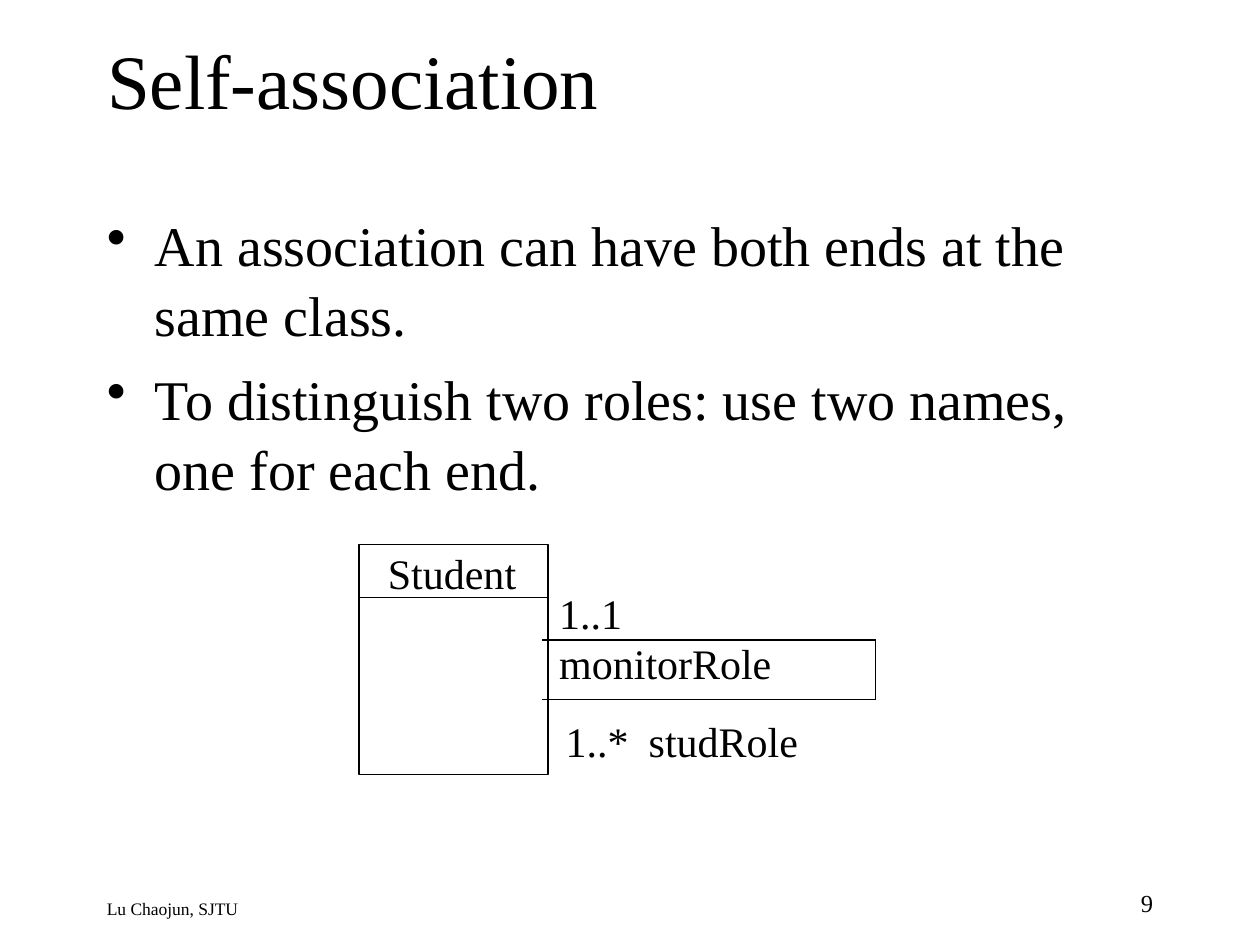
import pptx
import pptx.dml.color
import pptx.enum.shapes
import pptx.enum.text
import pptx.oxml.ns
import pptx.util
from lxml import etree

Inches = pptx.util.Inches
Pt = pptx.util.Pt
ALIGN = pptx.enum.text.PP_ALIGN
ANCHOR = pptx.enum.text.MSO_ANCHOR
COLORS = {"ink": "000000", "paper": "FFFFFF"}


def color(name):
    return pptx.dml.color.RGBColor.from_string(COLORS[name])


def add_element(parent, tag, **attributes):
    return etree.SubElement(parent, pptx.oxml.ns.qn(tag), attributes)


class SlideBuilder:
    font_name = "Times New Roman"
    line_width = Pt(0.75)

    def __init__(self, slide):
        self.slide = slide
        fill = slide.background.fill
        fill.solid()
        fill.fore_color.rgb = color("paper")

    def format_paragraph(self, paragraph, size, **settings):
        for name, value in settings.items():
            setattr(paragraph, name, value)
        for name, value in {"name": self.font_name, "size": Pt(size)}.items():
            setattr(paragraph.font, name, value)
        paragraph.font.color.rgb = color("ink")

    def title(self, text, left, top, width, height):
        title = self.slide.shapes.title
        box = {"left": left, "top": top, "width": width, "height": height}
        for name, value in box.items():
            setattr(title, name, Inches(value))
        title.text_frame.text = text
        title.text_frame.vertical_anchor = ANCHOR.MIDDLE
        self.format_paragraph(title.text_frame.paragraphs[0], 44,
                              alignment=ALIGN.LEFT)

    def text_box(self, left, top, width, height, wrap=True):
        box = self.slide.shapes.add_textbox(*map(Inches, (left, top, width, height)))
        box.text_frame.word_wrap = wrap
        return box.text_frame

    def text(self, text, box, size, alignment=ALIGN.LEFT, wrap=True, tab=None):
        """Add one line of text; tab is the stop in inches from the text edge."""
        paragraph = self.text_box(*box, wrap=wrap).paragraphs[0]
        paragraph.text = text
        if tab:
            stops = add_element(paragraph._p.get_or_add_pPr(), "a:tabLst")
            add_element(stops, "a:tab", pos=str(Inches(tab)), algn="l")
        self.format_paragraph(paragraph, size, alignment=alignment)

    def bullets(self, items, box):
        frame = self.text_box(*box)
        for index, item in enumerate(items):
            paragraph = frame.add_paragraph() if index else frame.paragraphs[0]
            paragraph.text = item
            properties = paragraph._p.get_or_add_pPr()
            properties.set("marL", str(Inches(0.38)))
            properties.set("indent", str(-Inches(0.38)))
            add_element(properties, "a:buChar", char="•")
            self.format_paragraph(paragraph, 32, line_spacing=1.04,
                                  space_before=Pt(8 if index else 0))

    def rectangle(self, left, top, width, height):
        shape = self.slide.shapes.add_shape(
            pptx.enum.shapes.MSO_SHAPE.RECTANGLE,
            *map(Inches, (left, top, width, height)))
        shape.shadow.inherit = False
        shape.fill.background()
        self.outline(shape)

    def line(self, start, end):
        connector = self.slide.shapes.add_connector(
            pptx.enum.shapes.MSO_CONNECTOR.STRAIGHT, *map(Inches, start + end))
        self.outline(connector)
        add_element(connector._element.spPr, "a:effectLst")

    def outline(self, shape):
        shape.line.color.rgb = color("ink")
        shape.line.width = self.line_width


def main():
    presentation = pptx.Presentation()
    presentation.slide_width = Inches(10)
    presentation.slide_height = Inches(7.5)
    layout = presentation.slide_layouts.get_by_name("Title Only")
    builder = SlideBuilder(presentation.slides.add_slide(layout))

    builder.title("Self-association", 0.75, 0, 8.5, 1.25)
    builder.bullets([
        "An association can have both ends at the same class.",
        "To distinguish two roles: use two names, one for each end.",
    ], (0.75, 1.6, 8.5, 5.06))

    builder.rectangle(2.85, 4.32, 1.5, 1.83)
    builder.line((2.85, 4.74), (4.35, 4.74))
    builder.text("Student", (2.98, 4.3, 1.22, 0.5), 24, wrap=False)

    loop = [(4.3, 5.08), (6.95, 5.08), (6.95, 5.55), (4.3, 5.55)]
    for start, end in zip(loop, loop[1:]):
        builder.line(start, end)
    builder.text("1..1\tmonitorRole", (4.34, 4.61, 2.63, 0.5), 24,
                 wrap=False, tab=0.75)
    builder.text("1..*\tstudRole", (4.39, 5.63, 2.05, 0.5), 24,
                 wrap=False, tab=0.66)

    builder.text("Lu Chaojun, SJTU", (0.75, 7.08, 5.8, 0.25), 10)
    builder.text("9", (7.17, 7, 2.08, 0.33), 14, alignment=ALIGN.RIGHT)

    presentation.save("out.pptx")


if __name__ == "__main__":
    main()
